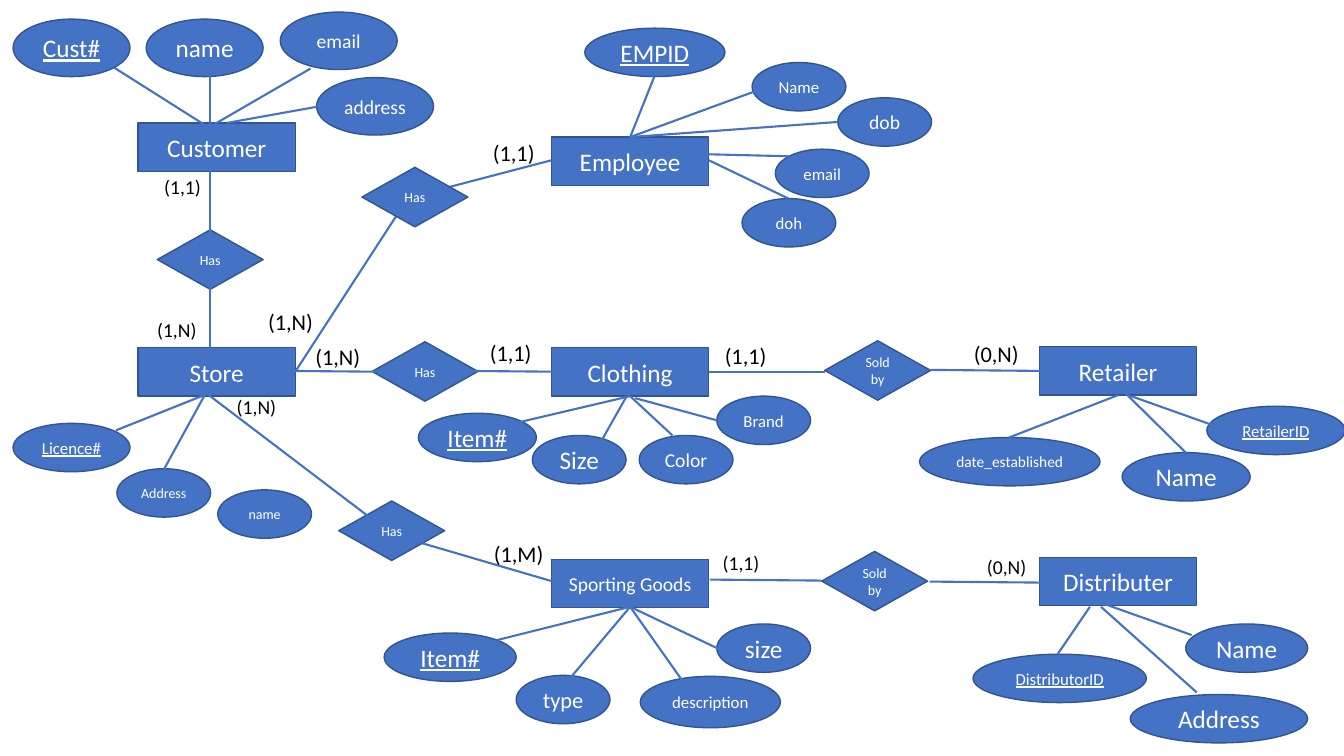
from dataclasses import dataclass

from lxml import etree
from pptx import Presentation
from pptx.dml.color import RGBColor
from pptx.enum.shapes import MSO_CONNECTOR, MSO_SHAPE
from pptx.enum.text import MSO_ANCHOR, MSO_AUTO_SIZE, PP_ALIGN
from pptx.oxml.ns import qn
from pptx.slide import Slide
from pptx.text.text import TextFrame
from pptx.util import Inches, Pt

RECTANGLE, OVAL, DIAMOND = MSO_SHAPE.RECTANGLE, MSO_SHAPE.OVAL, MSO_SHAPE.DIAMOND
STRAIGHT = MSO_CONNECTOR.STRAIGHT
MIDDLE, CENTER = MSO_ANCHOR.MIDDLE, PP_ALIGN.CENTER
FIT_SHAPE = MSO_AUTO_SIZE.SHAPE_TO_FIT_TEXT

FONT = "Calibri"
BLUE, DARK_BLUE, WHITE, BLACK = "4472C4", "325491", "FFFFFF", "000000"
LABEL_HEIGHTS = {14: 0.34, 16: 0.37}

Point = tuple[float, float]


@dataclass(frozen=True)
class Entity:
    text: str
    left: float
    top: float
    size: float = 18


@dataclass(frozen=True)
class Relationship:
    text: str
    left: float
    top: float


@dataclass(frozen=True)
class Attribute:
    text: str
    left: float
    top: float
    size: float
    width: float = 0.93
    height: float = 0.48
    is_key: bool = False


@dataclass(frozen=True)
class Cardinality:
    text: str
    left: float
    top: float
    size: int = 16
    width: float = 0.73


@dataclass(frozen=True)
class Fan:
    """Lines that run from several ends to one hub."""
    hub: Point
    ends: tuple[Point, ...]


ENTITIES = [
    Entity("Customer", 1.37, 1.22),
    Entity("Store", 1.37, 3.45),
    Entity("Employee", 5.47, 1.36),
    Entity("Clothing", 5.47, 3.45),
    Entity("Sporting Goods", 5.47, 5.55, 14),
    Entity("Retailer", 10.31, 3.44),
    Entity("Distributer", 10.31, 5.53),
]

ATTRIBUTES = [
    # Customer
    Attribute("Cust#", 0.13, 0.19, 18, 1.16, 0.57, is_key=True),
    Attribute("name", 1.45, 0.19, 18, 1.16, 0.57),
    Attribute("email", 2.78, 0.12, 14, 1.16, 0.57),
    Attribute("address", 3.14, 0.77, 14, 1.16, 0.57),
    # Store
    Attribute("Licence#", 0.13, 4.2, 12, 1.16, is_key=True),
    Attribute("Address", 1.16, 4.65, 10),
    Attribute("name", 2.16, 4.86, 10),
    # Employee
    Attribute("EMPID", 5.8, 0.28, 18, 1.39, is_key=True),
    Attribute("Name", 7.46, 0.62, 12),
    Attribute("dob", 8.31, 0.97, 14),
    Attribute("email", 7.69, 1.48, 12),
    Attribute("doh", 7.36, 1.97, 12),
    # Clothing
    Attribute("Item#", 4.15, 4.1, 18, 1.17, is_key=True),
    Attribute("Size", 5.28, 4.32, 18),
    Attribute("Color", 6.34, 4.32, 14),
    Attribute("Brand", 7.11, 3.93, 12),
    # Sporting Goods
    Attribute("Item#", 3.81, 6.28, 18, 1.31, is_key=True),
    Attribute("type", 5.12, 6.7, 16),
    Attribute("description", 6.35, 6.71, 12, 1.39, 0.51),
    Attribute("size", 7.11, 6.19, 18),
    # Retailer
    Attribute("date_established", 9.12, 4.34, 11, 1.79),
    Attribute("Name", 11.13, 4.49, 18, 1.27),
    Attribute("RetailerID", 11.97, 4.03, 12, 1.37, is_key=True),
    # Distributer
    Attribute("DistributorID", 9.65, 6.49, 12, 1.72, is_key=True),
    Attribute("Name", 11.76, 6.19, 18, 1.21),
    Attribute("Address", 11.21, 6.89, 18, 1.76),
]

RELATIONSHIPS = [
    Relationship("Has", 1.56, 2.28),
    Relationship("Has", 3.69, 3.39),
    Relationship("Has", 3.36, 4.97),
    Relationship("Sold by", 8.18, 3.38),
    Relationship("Sold by", 8.15, 5.47),
]
EMPLOYMENT = Relationship("Has", 3.59, 1.66)

ATTRIBUTE_FANS = [
    Fan((6.25, 1.36), ((6.49, 0.76), (7.64, 0.85), (8.31, 1.21))),
    Fan((6.25, 3.93), ((5.1, 4.2), (6.67, 4.32))),
    Fan((6.25, 6.02), ((4.93, 6.35), (5.62, 6.77), (6.85, 6.87), (7.28, 6.51))),
]

LINES: list[tuple[Point, Point]] = [
    # Customer and Store attributes
    ((2.19, 1.34), (1.13, 0.67)), ((2.08, 1.38), (2.08, 0.62)),
    ((3.08, 0.68), (2.01, 1.3)), ((3.14, 1.06), (2.25, 1.22)),
    ((1.63, 4.65), (2.03, 3.92)), ((1.15, 4.27), (2.35, 3.79)),
    # Employee and Clothing attributes
    ((7.82, 1.55), (7, 1.53)), ((7.82, 1.97), (7.03, 1.59)),
    ((5.95, 4.4), (6.21, 3.94)), ((7.11, 4.17), (6.3, 3.95)),
    # Retailer and Distributer attributes
    ((10.01, 4.34), (11.09, 3.92)), ((11.76, 4.49), (11.01, 3.75)),
    ((12.09, 4.24), (11.19, 3.92)), ((10.49, 6.49), (10.81, 6.02)),
    ((11.82, 6.3), (10.92, 5.98)), ((11.87, 6.87), (10.92, 6.02)),
    # Relationships
    ((2.08, 2.36), (2.08, 1.59)), ((2.08, 3.54), (2.08, 2.77)),
    ((4.01, 2.02), (2.94, 3.67)), ((5.47, 1.59), (4.21, 1.92)),
    ((4, 3.69), (2.88, 3.68)), ((5.75, 3.69), (4.64, 3.68)),
    ((3.69, 5.15), (1.9, 3.79)), ((5.59, 5.8), (4.19, 5.39)),
    ((8.18, 3.69), (7.03, 3.69)), ((10.34, 3.68), (9.23, 3.67)),
    ((8.15, 5.76), (7.04, 5.75)), ((10.34, 5.78), (9.22, 5.77)),
]

CARDINALITIES = [
    Cardinality("(1,1)", 1.53, 1.69, 14, 0.74),
    Cardinality("(1,N)", 1.46, 3.1, 14, 1.06),
    Cardinality("(1,N)", 2.25, 3.87, 14, 0.83),
    Cardinality("(1,N)", 2.56, 3.01, width=0.81),
    Cardinality("(1,N)", 3.03, 3.36),
    Cardinality("(1,1)", 4.79, 1.33),
    Cardinality("(1,1)", 4.76, 3.32),
    Cardinality("(1,M)", 4.8, 5.31),
    Cardinality("(1,1)", 7.09, 3.35),
    Cardinality("(0,N)", 9.56, 3.33),
    Cardinality("(1,1)", 7.07, 5.42, 14),
    Cardinality("(0,N)", 9.69, 5.46, 14),
]


def color(value: str) -> RGBColor:
    return RGBColor.from_string(value)


def add_text(frame: TextFrame, text: str, size: float, ink: str, underline: bool = False) -> None:
    frame.word_wrap = True
    span = frame.paragraphs[0].add_run()
    span.text = text
    span.font.name = FONT
    span.font.size = Pt(size)
    span.font.color.rgb = color(ink)
    if underline:
        span.font.underline = True


def draw_node(page: Slide, kind: MSO_SHAPE, node: Attribute) -> None:
    box = page.shapes.add_shape(kind, Inches(node.left), Inches(node.top),
                                Inches(node.width), Inches(node.height))
    box.shadow.inherit = False
    box.fill.solid()
    box.fill.fore_color.rgb = color(BLUE)
    box.line.color.rgb = color(DARK_BLUE)
    box.line.width = Pt(1)
    box.text_frame.vertical_anchor = MIDDLE
    box.text_frame.paragraphs[0].alignment = CENTER
    add_text(box.text_frame, node.text, node.size, WHITE, node.is_key)


def draw_entity(page: Slide, entity: Entity) -> None:
    draw_node(page, RECTANGLE, Attribute(entity.text, entity.left, entity.top, entity.size, 1.56))


def draw_relationship(page: Slide, link: Relationship) -> None:
    draw_node(page, DIAMOND, Attribute(link.text, link.left, link.top, 10, 1.05, 0.59))


def draw_line(page: Slide, start: Point, end: Point) -> None:
    line = page.shapes.add_connector(STRAIGHT, *(Inches(value) for value in start + end))
    line.line.color.rgb = color(BLUE)
    line.line.width = Pt(1.5)
    etree.SubElement(line._element.spPr, qn("a:effectLst"))


def draw_cardinality(page: Slide, label: Cardinality) -> None:
    box = page.shapes.add_textbox(Inches(label.left), Inches(label.top),
                                  Inches(label.width), Inches(LABEL_HEIGHTS[label.size]))
    add_text(box.text_frame, label.text, label.size, BLACK)
    box.text_frame.auto_size = FIT_SHAPE


def main() -> None:
    deck = Presentation()
    deck.slide_width, deck.slide_height = Inches(13.33), Inches(7.5)
    page = deck.slides.add_slide(deck.slide_layouts[6])
    for entity in ENTITIES:
        draw_entity(page, entity)
    for attribute in ATTRIBUTES:
        draw_node(page, OVAL, attribute)
    for link in RELATIONSHIPS:
        draw_relationship(page, link)
    for fan in ATTRIBUTE_FANS:
        for end in fan.ends:
            draw_line(page, end, fan.hub)
    for start, end in LINES:
        draw_line(page, start, end)
    draw_relationship(page, EMPLOYMENT)
    for label in CARDINALITIES:
        draw_cardinality(page, label)
    deck.save("out.pptx")


if __name__ == "__main__":
    main()
